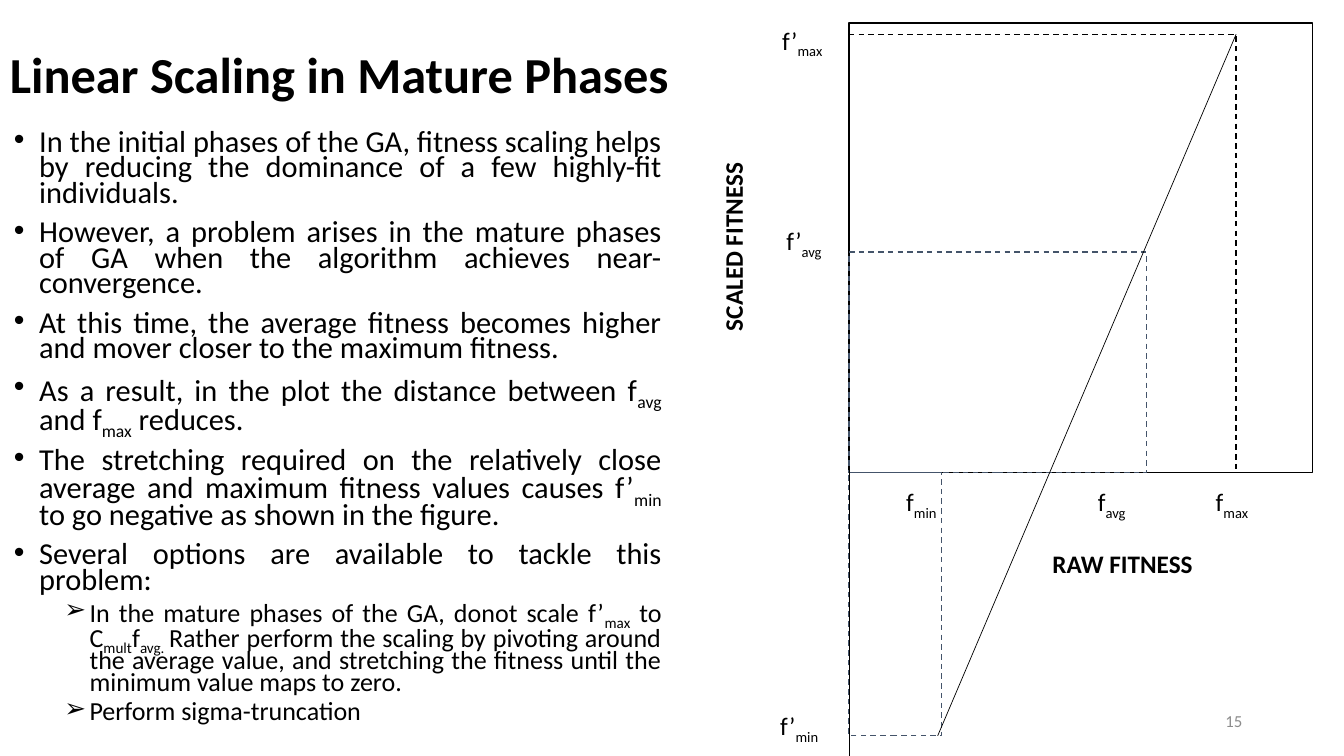
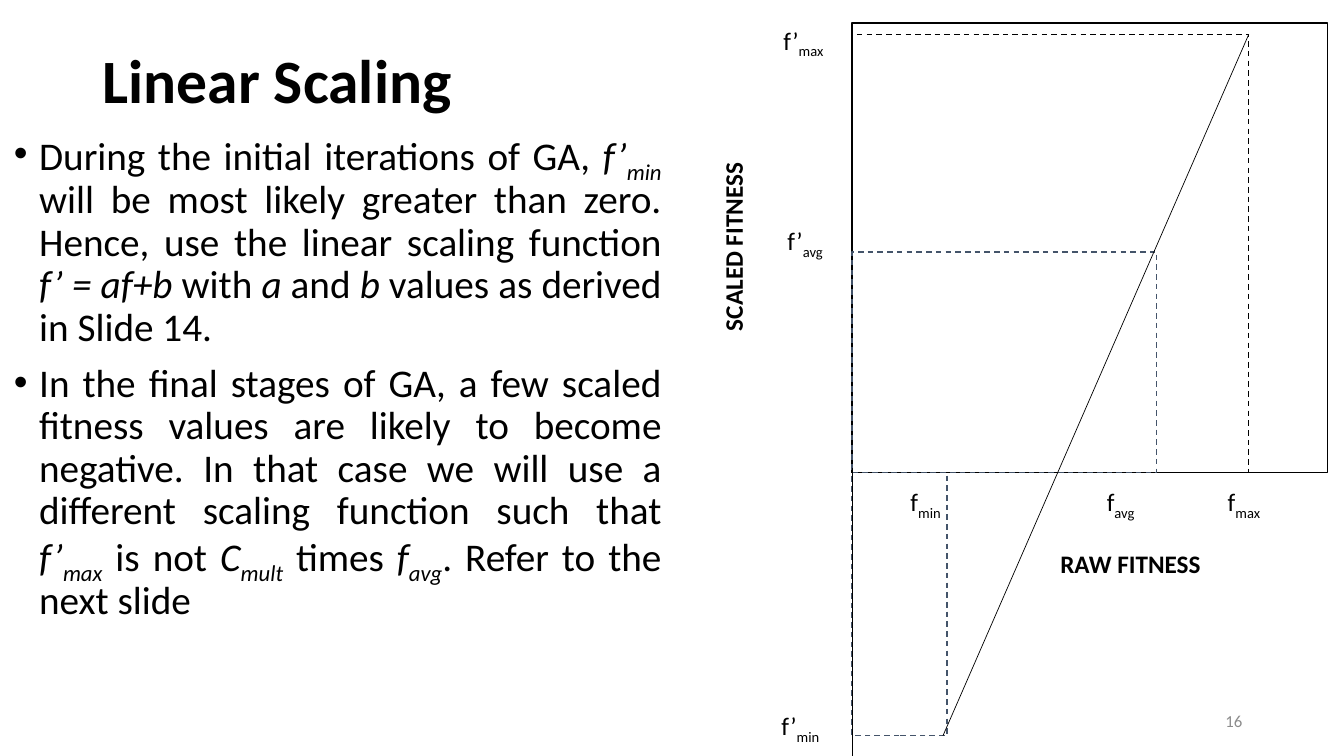
from lxml.etree import SubElement
from pptx import Presentation
from pptx.dml.color import RGBColor
from pptx.enum.dml import MSO_LINE
from pptx.enum.shapes import MSO_CONNECTOR, MSO_SHAPE
from pptx.enum.text import MSO_ANCHOR, PP_ALIGN
from pptx.oxml.ns import qn
from pptx.util import Inches, Pt

FONT = "Calibri"
COLORS = {"ink": "000000", "guide": "44546A", "number": "8C8C8C"}

# In all texts *...* is italic and ~...~ is subscript.
SLIDES = [
    {
        "title": "Linear Scaling in Mature Phases",
        "title_box": (0, 0.04, 7.6, 1.45),
        "title_size": 36,
        "sizes": (21.7, 18.6),
        "line_spacing": 0.7,
        "number": "15",
        "plot": {"left": 8.42, "stretch": 1},
        "points": [
            (0, "In the initial phases of the GA, fitness scaling helps by reducing "
                "the dominance of a few highly-fit individuals."),
            (0, "However, a problem arises in the mature phases of GA when the "
                "algorithm achieves near-convergence."),
            (0, "At this time, the average fitness becomes higher and mover closer "
                "to the maximum fitness."),
            (0, "As a result, in the plot the distance between f~avg~ and f~max~ reduces."),
            (0, "The stretching required on the relatively close average and maximum "
                "fitness values causes f’~min~ to go negative as shown in the figure."),
            (0, "Several options are available to tackle this problem:"),
            (1, "In the mature phases of the GA, donot scale f’~max~ to C~mult~f~avg. ~"
                "Rather perform the scaling by pivoting around the average value, and "
                "stretching the fitness until the minimum value maps to zero."),
            (1, "Perform sigma-truncation"),
        ],
    },
    {
        "title": "Linear Scaling",
        "title_box": (0.92, 0.1, 3.75, 1.45),
        "title_size": 44,
        "sizes": (28, 24),
        "line_spacing": 0.9,
        "number": "16",
        "plot": {"left": 8.45, "stretch": 1.025},
        "points": [
            (0, "During the initial iterations of GA, *f’~min~* will be most likely "
                "greater than zero. Hence, use the linear scaling function "
                "*f’ = af+b *with *a* and *b* values as derived in Slide 14."),
            (0, "In the final stages of GA, a few scaled fitness values are likely to "
                "become negative. In that case we will use a different scaling function "
                "such that *f’~max~* is not *C~mult~* times *f~avg~*. Refer to the next slide"),
        ],
    },
]

# Level: bullet, left margin in inches, space before in points
BULLETS = [("•", 0.25, 10), ("➢", 0.75, 5)]

# Horizontal plot places are distances from the vertical axis.
RAW_AXIS = 4.69
FRAME_TOP, FRAME_WIDTH = 0.23, 4.6
MAX_TOP, AVG_TOP, MIN_BOTTOM = 0.34, 2.5, 7.3
MAX_X, AVG_X, MIN_X, LINE_START_X = 3.84, 2.95, 0.92, 0.88
PLOT_AREAS = [  # width, top, bottom, colour, dashed
    (FRAME_WIDTH, FRAME_TOP, RAW_AXIS, "ink", False),
    (MAX_X, MAX_TOP, RAW_AXIS, "ink", True),
    (AVG_X, AVG_TOP, RAW_AXIS, "guide", True),
    (MIN_X, RAW_AXIS, MIN_BOTTOM, "guide", True),
]
PLOT_LABELS = [  # text, distance from axis, top, width, bold
    ("f~min~", 0.47, 4.78, 0.8, False),
    ("f~avg~", 2.37, 4.78, 0.8, False),
    ("f~max~", 3.54, 4.78, 0.8, False),
    ("f’~min~", -0.78, 7, 0.85, False),
    ("f’~avg~", -0.72, 2.19, 0.85, False),
    ("f’~max~", -0.76, 0.2, 0.85, False),
    ("RAW FITNESS", 1.92, 5.39, 2.14, True),
]


def rgb(name):
    return RGBColor.from_string(COLORS[name])


def write(paragraph, text, size=18, color="ink", bold=False,
          align=PP_ALIGN.LEFT, spacing=None, bullet=None):
    """Fill a paragraph from marked-up text."""
    paragraph.alignment = align
    if spacing:
        paragraph.line_spacing = spacing
    for i, styled in enumerate(text.split("*")):
        for j, piece in enumerate(styled.split("~")):
            if not piece:
                continue
            run = paragraph.add_run()
            run.text = piece
            font = run.font
            font.name, font.size, font.bold = FONT, Pt(size), bold
            font.italic = i % 2 == 1
            font.color.rgb = rgb(color)
            if j % 2:
                run._r.get_or_add_rPr().set("baseline", "-25000")
    if bullet:
        mark, margin, before = bullet
        paragraph.space_before = Pt(before)
        props = paragraph._p.get_or_add_pPr()
        props.set("marL", str(Inches(margin)))
        props.set("indent", str(Inches(-0.25)))
        SubElement(props, qn("a:buFont")).set("typeface", "Arial")
        SubElement(props, qn("a:buChar")).set("char", mark)


def add_frame(slide, box, anchor=MSO_ANCHOR.TOP, rotation=0):
    holder = slide.shapes.add_textbox(*map(Inches, box))
    holder.rotation = rotation
    frame = holder.text_frame
    frame.word_wrap = True
    frame.vertical_anchor = anchor
    return frame


def add_text(slide, box, text, anchor=MSO_ANCHOR.TOP, rotation=0, **style):
    write(add_frame(slide, box, anchor, rotation).paragraphs[0], text, **style)


def add_points(slide, points, sizes, spacing):
    frame = add_frame(slide, (0.04, 1.26, 6.62, 6.14))
    for i, (level, text) in enumerate(points):
        paragraph = frame.add_paragraph() if i else frame.paragraphs[0]
        paragraph.level = level
        write(paragraph, text, size=sizes[level], align=PP_ALIGN.JUSTIFY,
              spacing=spacing, bullet=BULLETS[level])


def add_line(slide, start, end):
    line = slide.shapes.add_connector(
        MSO_CONNECTOR.STRAIGHT, *map(Inches, (*start, *end)))
    line.line.color.rgb = rgb("ink")
    line.line.width = Pt(0.5)
    SubElement(line._element.spPr, qn("a:effectLst"))


def add_plot(slide, left, stretch):
    def across(distance):
        return left + distance * stretch

    for width, top, bottom, color, dashed in PLOT_AREAS:
        area = slide.shapes.add_shape(
            MSO_SHAPE.RECTANGLE,
            *map(Inches, (left, top, width * stretch, bottom - top)))
        area.shadow.inherit = False
        area.fill.background()
        area.line.color.rgb = rgb(color)
        area.line.width = Pt(1)
        if dashed:
            area.line.dash_style = MSO_LINE.DASH
    add_line(slide, (across(LINE_START_X), MIN_BOTTOM), (across(MAX_X), MAX_TOP))
    for text, distance, top, width, bold in PLOT_LABELS:
        add_text(slide, (across(distance), top, width, 0.4), text, bold=bold)
    add_text(slide, (6.29, 2.18, 2.1, 0.54), "SCALED FITNESS", rotation=270,
             bold=True, align=PP_ALIGN.CENTER)
    add_line(slide, (left, 4.64), (left, 7.5))


def main():
    deck = Presentation()
    deck.slide_width, deck.slide_height = Inches(13.33), Inches(7.5)
    for content in SLIDES:
        slide = deck.slides.add_slide(deck.slide_layouts[6])
        add_text(slide, content["title_box"], content["title"], MSO_ANCHOR.MIDDLE,
                 size=content["title_size"], bold=True, spacing=0.9)
        add_points(slide, content["points"], content["sizes"], content["line_spacing"])
        add_plot(slide, **content["plot"])
        add_text(slide, (9.42, 6.95, 3, 0.4), content["number"], MSO_ANCHOR.MIDDLE,
                 size=12, color="number", align=PP_ALIGN.RIGHT)
    deck.save("out.pptx")


if __name__ == "__main__":
    main()
